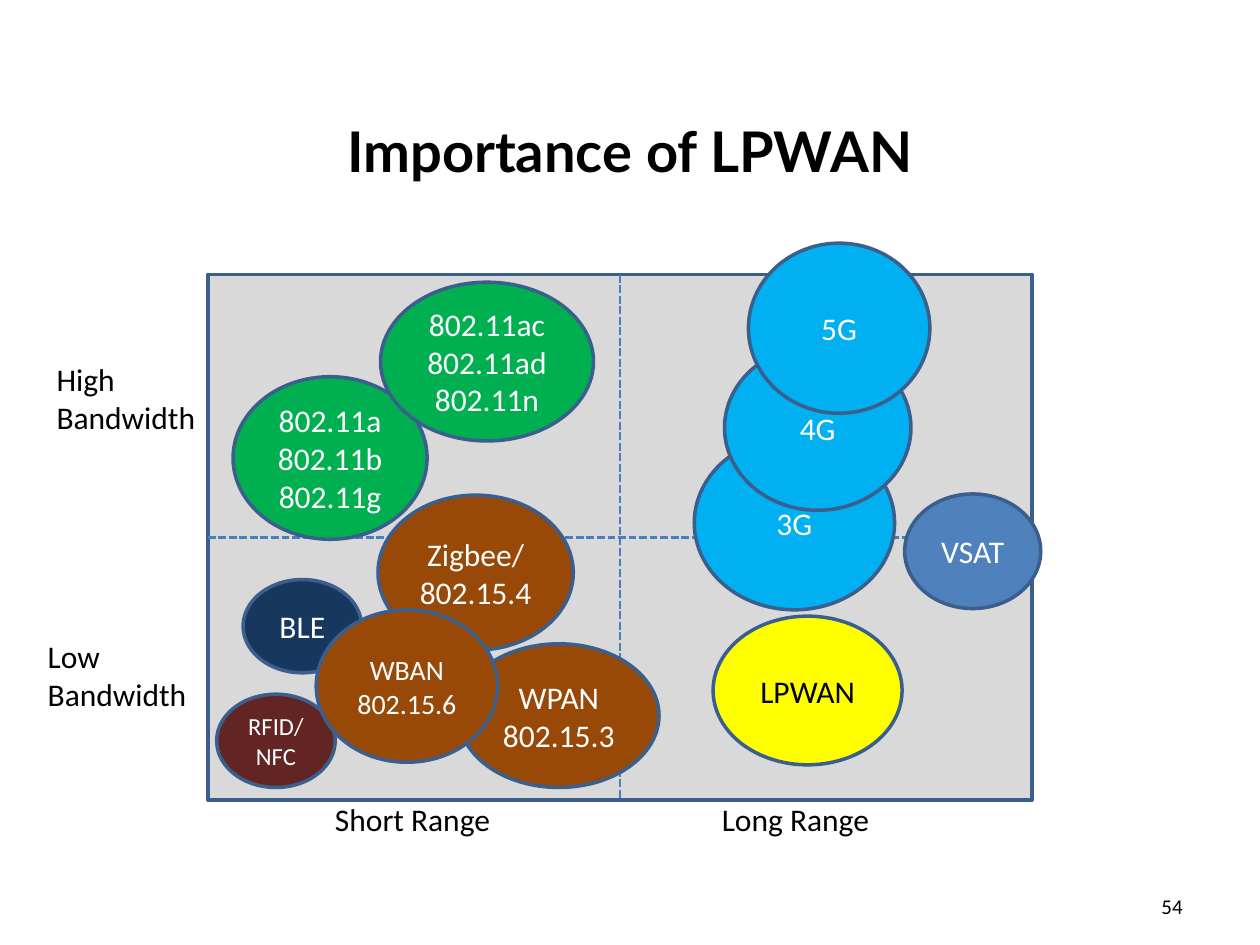
"""Build a slide that maps wireless standards by range and bandwidth."""
from lxml import etree
from pptx import Presentation
from pptx import util as u
from pptx.dml.color import RGBColor
from pptx.enum import dml, shapes, text
from pptx.oxml import ns

COLORS = {
    "black": "000000", "white": "FFFFFF", "panel": "D9D9D9",
    "outline": "3A5F8C", "divider": "4B7EBC", "yellow": "FFFF00",
    "sky": "00B0F0", "navy": "17375E", "maroon": "632523",
    "brown": "984807", "green": "00B050", "blue": "4F81BD",
}
COLUMNS, ROWS = 100, 75
PANEL_LEFT, PANEL_TOP, PANEL_WIDTH, PANEL_HEIGHT = 16.5, 21.8, 65.4, 41.7

LABELS = [
    (3.5, 28.1, 13.2, 7.1, ["High", "Bandwidth"]),
    (2.8, 50.1, 13.2, 7.1, ["Low", "Bandwidth"]),
    (25.6, 63, 14.5, 4, ["Short Range"]),
    (56.3, 63, 13.9, 4, ["Long Range"]),
]
TECHNOLOGIES = [
    (56.6, 48.9, 15, 11.8, "yellow", ["LPWAN"], 18, "black"),
    (55.1, 34.6, 15.9, 13.8, "sky", ["3G"]),
    (57.5, 27.4, 14.8, 13.1, "sky", ["4G"]),
    (59.4, 19.3, 14.4, 13.5, "sky", ["5G"]),
    (19.3, 46, 9.4, 7.4, "navy", ["BLE"]),
    (17.2, 55.1, 9.4, 7.4, "maroon", ["RFID/", "NFC"], 14),
    (30, 39.3, 15.5, 12.3, "brown", ["Zigbee/ 802.15.4"]),
    (18.5, 29.9, 15.4, 12.9, "green", ["802.11a", "802.11b", "802.11g"]),
    (30.2, 22.4, 16.9, 12.6, "green", ["802.11ac", "802.11ad", "802.11n"]),
    (71.8, 39.2, 10.8, 9.1, "blue", ["VSAT"]),
    (36.4, 51.1, 15.9, 11.4, "brown", ["WPAN 802.15.3"]),
    (25.1, 48.4, 14.4, 12.1, "brown", ["WBAN", "802.15.6"], 16),
]


class Painter:
    """Hold the style and the current slide, and draw on a grid."""

    def __init__(self, deck, font="Calibri"):
        self.deck = deck
        self.font = font
        self.page = deck.slides.add_slide(deck.slide_layouts[6])

    def color(self, name):
        return RGBColor.from_string(COLORS[name])

    def place(self, *lengths):
        steps = (self.deck.slide_width / COLUMNS, self.deck.slide_height / ROWS) * 2
        return [u.Emu(round(length * step)) for length, step in zip(lengths, steps)]

    def fill_text(self, frame, lines, size, color, align, font=None, bold=False):
        for index, line in enumerate(lines):
            para = frame.add_paragraph() if index else frame.paragraphs[0]
            para.text = line
            para.alignment = align
            para.font.name = font or self.font
            para.font.size = u.Pt(size)
            para.font.bold = bold
            para.font.color.rgb = self.color(color)

    def label(self, left, top, width, height, lines, size=18, wrap=False,
              align=text.PP_ALIGN.LEFT, anchor=text.MSO_ANCHOR.TOP, **style):
        box = self.page.shapes.add_textbox(*self.place(left, top, width, height))
        frame = box.text_frame
        frame.word_wrap = wrap
        frame.vertical_anchor = anchor
        frame.auto_size = (text.MSO_AUTO_SIZE.NONE if wrap
                           else text.MSO_AUTO_SIZE.SHAPE_TO_FIT_TEXT)
        self.fill_text(frame, lines, size, "black", align, **style)

    def shape(self, kind, left, top, width, height, fill):
        shape = self.page.shapes.add_shape(kind, *self.place(left, top, width, height))
        shape.shadow.inherit = False
        shape.fill.solid()
        shape.fill.fore_color.rgb = self.color(fill)
        shape.line.color.rgb = self.color("outline")
        shape.line.width = u.Pt(2)
        return shape

    def bubble(self, left, top, width, height, fill, lines, size=18, color="white"):
        bubble = self.shape(shapes.MSO_SHAPE.OVAL, left, top, width, height, fill)
        frame = bubble.text_frame
        frame.word_wrap = True
        frame.vertical_anchor = text.MSO_ANCHOR.MIDDLE
        self.fill_text(frame, lines, size, color, text.PP_ALIGN.CENTER)

    def divider(self, *ends):
        line = self.page.shapes.add_connector(
            shapes.MSO_CONNECTOR.STRAIGHT, *self.place(*ends))
        line.line.color.rgb = self.color("divider")
        line.line.width = u.Pt(1.5)
        line.line.dash_style = dml.MSO_LINE.SQUARE_DOT
        etree.SubElement(line._element.spPr, ns.qn("a:effectLst"))


def main():
    deck = Presentation()
    deck.slide_width, deck.slide_height = u.Inches(10), u.Inches(7.5)
    painter = Painter(deck)
    painter.label(5, 6.8, 90, 10.2, ["Importance of LPWAN"], 32, wrap=True,
                  align=text.PP_ALIGN.CENTER, anchor=text.MSO_ANCHOR.MIDDLE,
                  font="Lato", bold=True)
    painter.label(91.2, 70.4, 6.4, 4, ["54"], 12, wrap=True)
    painter.shape(shapes.MSO_SHAPE.RECTANGLE, PANEL_LEFT, PANEL_TOP,
                  PANEL_WIDTH, PANEL_HEIGHT, "panel")
    middle_x = PANEL_LEFT + PANEL_WIDTH / 2
    middle_y = PANEL_TOP + PANEL_HEIGHT / 2
    painter.divider(PANEL_LEFT, middle_y, PANEL_LEFT + PANEL_WIDTH, middle_y)
    painter.divider(middle_x, PANEL_TOP, middle_x, PANEL_TOP + PANEL_HEIGHT)
    for label in LABELS:
        painter.label(*label)
    for technology in TECHNOLOGIES:
        painter.bubble(*technology)
    deck.save("out.pptx")


if __name__ == "__main__":
    main()
